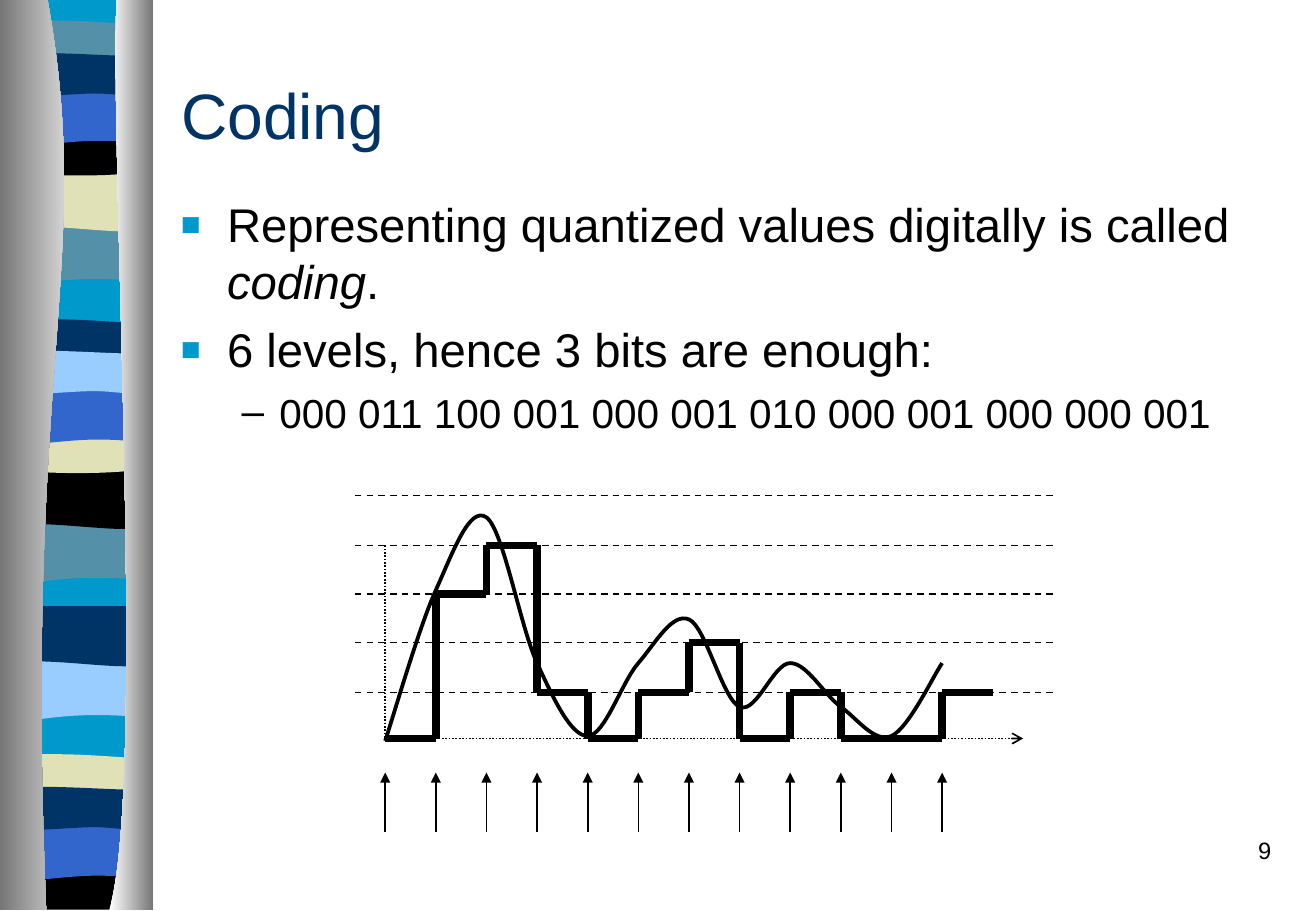
from dataclasses import dataclass

from lxml import etree
from pptx import Presentation
from pptx import util as u
from pptx.dml.color import RGBColor
from pptx.enum import dml, shapes, text
from pptx.oxml import ns


@dataclass(frozen=True)
class Theme:
    """Colours, font and type sizes of the slide."""
    font: str = "Arial"
    ink: str = "000000"
    navy: str = "003366"
    cyan: str = "0099CC"
    teal: str = "5490A8"
    royal: str = "3366CC"
    cream: str = "E1E1B7"
    sky: str = "99CCFF"
    dark: str = "767676"
    white: str = "FFFFFF"
    title: float = 38
    body: float = 28
    detail: float = 24
    number: float = 14


@dataclass(frozen=True)
class Box:
    """A region in inches."""
    left: float
    top: float
    width: float
    height: float

    def place(self, x, y):
        """Turn a point inside the box into slide lengths."""
        return u.Inches(self.left + x), u.Inches(self.top + y)

    def frame(self):
        """Give the box as left, top, width and height lengths."""
        return [u.Inches(v) for v in (self.left, self.top, self.width, self.height)]


THEME = Theme()
CODES = "000 011 100 001 000 001 010 000 001 000 000 001"
STRIPE_FORMS = {
    "base": [(1.17, 0), (1.17, 7.48), (0, 7.48), (0, 0)],
    "slant": [(1.17, 0), (1.17, 0.47), (0.36, 0.39, 0.2, 0.55, 0, 0.47), (0, 0)],
    "ripple": [(1.17, 0), (1.17, 0.47), (0.98, 0.55, 0.36, 0.41, 0, 0.47), (0, 0)],
    "thin": [(1.17, 0.05), (1.17, 0.29), (0.98, 0.33, 0.2, 0.33, 0, 0.29), (0, 0.05),
             (0.08, 0, 0.26, 0.01, 0.45, 0.01), (0.65, 0.01, 1.02, 0.04, 1.17, 0.05)],
    "sag": [(1.17, 0), (1.17, 0.32), (0.98, 0.38, 0.2, 0.38, 0, 0.32), (0, 0),
            (0.72, 0.05, 0.93, 0, 1.17, 0)],
    "arch": [(1.17, 0), (1.17, 0.47), (0.99, 0.42, 0.92, 0.42, 0.72, 0.42),
             (0.53, 0.42, 0.18, 0.47, 0, 0.47), (0, 0)],
    "slab": [(1.17, 0.05), (1.17, 0.36), (1.1, 0.41, 0.92, 0.36, 0.72, 0.36),
             (0.53, 0.36, 0.12, 0.41, 0, 0.36), (0, 0.05),
             (0.17, 0, 0.8, 0.05, 0.99, 0.05), (1.19, 0.05, 1.14, 0.05, 1.17, 0.05)],
    "floor": [(1.17, 0), (1.17, 0.37), (0.01, 0.37), (0, 0), (0.72, 0.05, 0.93, 0, 1.17, 0)],
}
STRIPES = [
    ("base", 0.06, -0.01, THEME.cyan), ("slant", 0.06, 1.85, THEME.teal),
    ("ripple", 0.06, 1.41, THEME.cream), ("thin", 0.06, 0.16, THEME.teal),
    ("sag", 0.06, 1.08, THEME.ink), ("arch", 0.06, 0.74, THEME.royal),
    ("slab", 0.06, 0.41, THEME.navy), ("slant", 0.05, 4.31, THEME.teal),
    ("ripple", 0.05, 3.86, THEME.ink), ("thin", 0.05, 2.62, THEME.navy),
    ("sag", 0.05, 3.53, THEME.cream), ("arch", 0.05, 3.2, THEME.royal),
    ("slab", 0.05, 2.86, THEME.sky), ("slant", 0.06, 5.44, THEME.sky),
    ("ripple", 0.06, 4.99, THEME.navy), ("thin", 0.05, 6.2, THEME.cream),
    ("floor", 0.05, 7.12, THEME.ink), ("arch", 0.05, 6.79, THEME.royal),
    ("slab", 0.05, 6.45, THEME.navy),
]
CURTAINS = [
    ([(0.39, -0.01), (0.78, 2.16, 0.19, 2.96, 0.38, 7.49), (0, 7.49), (0, -0.01)],
     (THEME.dark, THEME.white)),
    ([(0.96, -0.01), (0.9, 1.25, 1.21, 6.46, 0.9, 7.49), (1.26, 7.49), (1.26, -0.01)],
     (THEME.white, THEME.dark)),
]


def apply(target, **values):
    """Set attributes from named format values."""
    for name, value in values.items():
        setattr(target, name, value)


def rgb(colour):
    """Turn a hex string into a colour."""
    return RGBColor.from_string(colour)


def add_outline(page, box, steps, close=True):
    """Draw a freeform; a step of two numbers is a line, one of six a curve."""
    points = [box.place(*step[i:i + 2]) for step in steps for i in range(0, len(step), 2)]
    builder = page.shapes.build_freeform(*points[0], scale=1.0)
    builder.add_line_segments(points[1:], close=close)
    outline = builder.convert_to_shape()
    segments = iter(outline._element.findall(".//" + ns.qn("a:lnTo")))
    for step in steps[1:]:
        segment = next(segments)
        if len(step) == 6:
            curve = etree.Element(ns.qn("a:cubicBezTo"))
            segment.addprevious(curve)
            for part in (segment, next(segments), next(segments)):
                curve.append(part[0])
                part.getparent().remove(part)
    outline.shadow.inherit = False
    outline.line.fill.background()
    return outline


def add_line(page, box, start, end, width=1, dash=None, arrow=None):
    """Draw a straight line between two points given inside the box."""
    line = page.shapes.add_connector(
        shapes.MSO_CONNECTOR.STRAIGHT, *box.place(*start), *box.place(*end))
    line.line.color.rgb = rgb(THEME.ink)
    apply(line.line, width=u.Pt(width), dash_style=dash)
    if arrow:
        side, kind = arrow
        etree.SubElement(line.line._get_or_add_ln(), ns.qn(side), type=kind)
    etree.SubElement(line._element.spPr, ns.qn("a:effectLst"))


def add_span(para, words, size, colour=THEME.ink, italic=False):
    """Add a formatted run to a paragraph."""
    span = para.add_run()
    span.text = words
    apply(span.font, name=THEME.font, size=u.Pt(size), italic=italic)
    span.font.color.rgb = rgb(colour)


def add_bullet(para, sign, colour, percent, margin, hanging):
    """Give a paragraph a hanging bullet."""
    props = para._p.get_or_add_pPr()
    props.set("marL", str(u.Inches(margin)))
    props.set("indent", str(-u.Inches(hanging)))
    tint = etree.SubElement(props, ns.qn("a:buClr"))
    etree.SubElement(tint, ns.qn("a:srgbClr"), val=colour)
    etree.SubElement(props, ns.qn("a:buSzPct"), val=str(percent * 1000))
    etree.SubElement(props, ns.qn("a:buFont"), typeface=THEME.font)
    etree.SubElement(props, ns.qn("a:buChar"), char=sign)


def draw_sidebar(page, box):
    """Draw the striped ribbon between two shaded curtains."""
    for form, left, top, colour in STRIPES:
        spot = Box(box.left + left, box.top + top, box.width, box.height)
        stripe = add_outline(page, spot, STRIPE_FORMS[form])
        stripe.fill.solid()
        stripe.fill.fore_color.rgb = rgb(colour)
    for steps, tones in CURTAINS:
        curtain = add_outline(page, box, steps)
        curtain.fill.gradient()
        curtain.fill.gradient_angle = 0
        for stop, tone, position in zip(curtain.fill.gradient_stops, tones, (0, 1)):
            stop.color.rgb = rgb(tone)
            stop.position = position


def write_title(page, box):
    """Place and format the title."""
    title = page.shapes.title
    apply(title, **dict(zip(("left", "top", "width", "height"), box.frame())))
    apply(title.text_frame, vertical_anchor=text.MSO_ANCHOR.MIDDLE, word_wrap=True)
    para = title.text_frame.paragraphs[0]
    para.alignment = text.PP_ALIGN.LEFT
    add_span(para, "Coding", THEME.title, THEME.navy)


def write_body(page, box):
    """Write the bulleted text."""
    frame = page.shapes.add_textbox(*box.frame()).text_frame
    frame.word_wrap = True
    square = ("■", THEME.cyan, 70, 0.38, 0.38)
    dash = ("–", THEME.ink, 100, 0.81, 0.31)
    items = [
        ([("Representing quantized values digitally is called ", False),
          ("coding", True), (".", False)], THEME.body, 7, square, 0),
        ([("6 levels, hence 3 bits are enough:", False)], THEME.body, 7, square, 0),
        ([(CODES, False)], THEME.detail, 6, dash, 1),
    ]
    for index, (spans, size, gap, bullet, level) in enumerate(items):
        para = frame.add_paragraph() if index else frame.paragraphs[0]
        apply(para, space_before=u.Pt(gap), level=level)
        add_bullet(para, *bullet)
        for words, italic in spans:
            add_span(para, words, size, italic=italic)


def draw_plot(page, box):
    """Draw the signal, its quantized steps and the sampling arrows."""
    levels = [2, 1.62, 1.21, 0.81, 0.41, 0]
    codes = [int(code, 2) for code in CODES.split()]
    times = [0.25 + 5 / 12 * index for index in range(len(codes) + 1)]
    for level in levels[1:]:
        add_line(page, box, (0, level), (box.width, level), dash=dml.MSO_LINE.DASH)
    dotted = dml.MSO_LINE.ROUND_DOT
    add_line(page, box, (times[0], 2), (5.5, 2), dash=dotted, arrow=("a:tailEnd", "arrow"))
    add_line(page, box, (times[0], levels[4]), (times[0], 2), dash=dotted)

    heights = [2.02, 0.78, 0.18, 1.38, 1.98, 1.38, 1.02, 1.74, 1.38, 1.74, 1.98, 1.38]
    knots = list(zip(times, heights))
    padded = [knots[0], *knots, knots[-1]]
    curve = [knots[0]]
    for before, start, end, after in zip(padded, padded[1:], padded[2:], padded[3:]):
        first = [s + (e - b) / 6 for b, s, e in zip(before, start, end)]
        second = [e - (a - s) / 6 for s, e, a in zip(start, end, after)]
        curve.append((*first, *second, *end))
    signal = add_outline(page, box, curve, close=False)
    signal.fill.background()
    signal.line.color.rgb = rgb(THEME.ink)
    signal.line.width = u.Pt(2.25)

    for index, code in enumerate(codes):
        start, end, level = times[index], times[index + 1], levels[code]
        if index and code != codes[index - 1]:
            add_line(page, box, (start, levels[codes[index - 1]]), (start, level), 4.5)
        add_line(page, box, (start, level), (end, level), 4.5)
        add_line(page, box, (start, 2.28), (start, box.height), arrow=("a:headEnd", "triangle"))


def write_number(page, box):
    """Write the page number."""
    frame = page.shapes.add_textbox(*box.frame()).text_frame
    frame.word_wrap = True
    para = frame.paragraphs[0]
    apply(para, alignment=text.PP_ALIGN.RIGHT, space_before=u.Pt(8.8))
    add_span(para, "9", THEME.number)


def main():
    """Build the slide and save the deck."""
    deck = Presentation()
    apply(deck, slide_width=u.Inches(10.83), slide_height=u.Inches(7.5))
    page = deck.slides.add_slide(deck.slide_layouts[5])
    draw_sidebar(page, Box(0, 0, 1.26, 7.49))
    write_title(page, Box(1.39, 0.5, 9.21, 0.87))
    write_body(page, Box(1.39, 1.56, 9.21, 2.52))
    draw_plot(page, Box(2.92, 4.08, 5.75, 2.77))
    write_number(page, Box(8.3, 6.83, 2.26, 0.5))
    deck.save("out.pptx")


if __name__ == "__main__":
    main()
